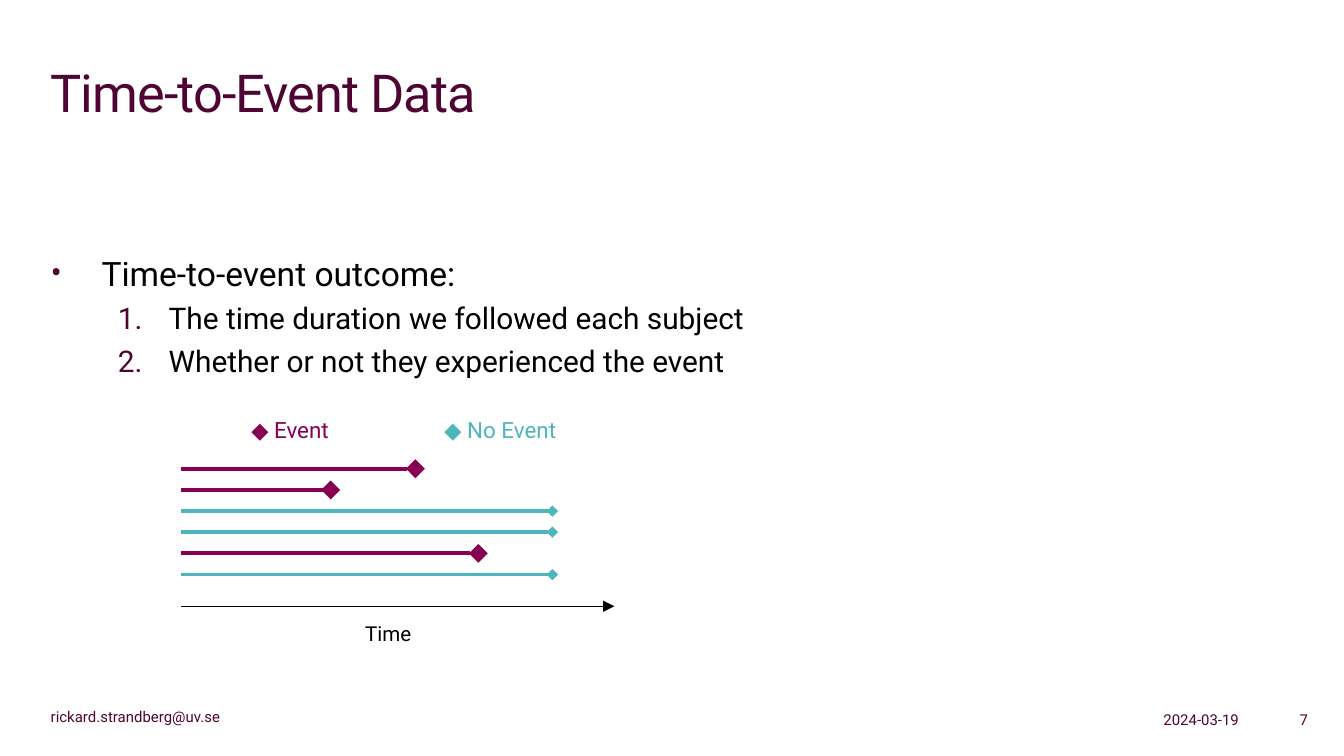
from lxml.etree import SubElement
from pptx import Presentation
from pptx.dml.color import RGBColor
from pptx.enum.shapes import MSO_CONNECTOR as CONN
from pptx.enum.text import MSO_ANCHOR as ANCHOR, MSO_AUTO_SIZE as AUTO, PP_ALIGN as ALIGN
from pptx.oxml.ns import qn
from pptx.util import Cm, Pt

FONT = "Roboto"
COLORS = {"plum": "4F0433", "event": "870052", "no_event": "4DB5BC", "black": "000000"}


def add_box(s, x, y, w, h, wrap=True):
    """Add an empty text box and return its text frame."""
    tf = s.shapes.add_textbox(Cm(x), Cm(y), Cm(w), Cm(h)).text_frame
    tf.word_wrap = wrap
    tf.auto_size = AUTO.NONE if wrap else AUTO.SHAPE_TO_FIT_TEXT
    return tf


def add_run(p, text, size, color):
    """Add a styled run to a paragraph."""
    r = p.add_run()
    r.text = text
    r.font.name = FONT
    r.font.size = Pt(size)
    r.font.color.rgb = RGBColor.from_string(COLORS[color])
    return r


def add_label(s, x, y, w, h, text, size, color):
    """Add a one-line label that does not wrap."""
    add_run(add_box(s, x, y, w, h, wrap=False).paragraphs[0], text, size, color)


def add_line(s, x, y, length, color, width, tip, tip_size):
    """Add a horizontal line with a tip at its right end."""
    line = s.shapes.add_connector(CONN.STRAIGHT, Cm(x), Cm(y), Cm(x + length), Cm(y))
    line.line.color.rgb = RGBColor.from_string(COLORS[color])
    line.line.width = Pt(width)
    SubElement(line.line._get_or_add_ln(), qn("a:tailEnd"), type=tip, w=tip_size, len=tip_size)
    SubElement(line._element.spPr, qn("a:effectLst"))


def set_bullet(p, indent, tag, **attrs):
    """Give a paragraph a hanging indent and a plum bullet or number."""
    pPr = p._p.get_or_add_pPr()
    pPr.set("marL", str(Cm(indent)))
    pPr.set("indent", str(-Cm(0.96)))
    SubElement(SubElement(pPr, qn("a:buClr")), qn("a:srgbClr"), val=COLORS["plum"])
    SubElement(pPr, qn("a:buFont"), typeface=FONT)
    SubElement(pPr, qn(tag), **attrs)


def add_title(s, x, y, w, h):
    """Place the slide title."""
    tf = add_box(s, x, y, w, h)
    tf.margin_top = Cm(0.2)
    r = add_run(tf.paragraphs[0], "Time-to-Event Data", 28, "plum")
    r.font._element.set("spc", "-50")


def add_body(s, x, y, w, h):
    """Place the bullet and its numbered points."""
    tf = add_box(s, x, y, w, h)
    tf.margin_top = Cm(0.9)
    p = tf.paragraphs[0]
    p.space_before = Pt(4)
    set_bullet(p, 0.96, "a:buChar", char="•")
    add_run(p, "Time-to-event outcome:", 18, "black")
    for text in ("The time duration we followed each subject",
                 "Whether or not they experienced the event"):
        p = tf.add_paragraph()
        p.level = 1
        p.space_before = Pt(3.4)
        set_bullet(p, 2.23, "a:buAutoNum", type="arabicPeriod")
        add_run(p, text, 16, "black")


def add_timeline(s, x, y):
    """Place the follow-up diagram with its legend and time axis."""
    add_label(s, x + 1.07, y, 2.11, 0.76, "◆ Event", 12, "event")
    add_label(s, x + 4.72, y, 2.77, 0.76, "◆ No Event", 12, "no_event")
    tip_sizes = {"event": "lg", "no_event": "med"}
    subjects = [("event", 4.42), ("event", 2.82), ("no_event", 7.01),
                ("no_event", 7.01), ("event", 5.61), ("no_event", 7.01)]
    for i, (kind, length) in enumerate(subjects):
        add_line(s, x, y + 1.11 + 0.4 * i, length, kind, 2, "diamond", tip_sizes[kind])
    add_line(s, x, y + 3.71, 8.18, "black", 0.75, "triangle", "med")
    add_label(s, x + 3.22, y + 3.86, 1.4, 0.74, "Time", 11, "black")


def add_footer(s, x, y, h):
    """Place the address, date and page number along the bottom."""
    items = [(0, 6.2, "rickard.strandberg@uv.se", ALIGN.LEFT, ANCHOR.MIDDLE),
             (17.68, 5.28, "2024-03-19", ALIGN.RIGHT, ANCHOR.TOP),
             (22.35, 1.91, "7", ALIGN.RIGHT, ANCHOR.TOP)]
    for dx, w, text, align, anchor in items:
        tf = add_box(s, x + dx, y, w, h)
        tf.vertical_anchor = anchor
        p = tf.paragraphs[0]
        p.alignment = align
        add_run(p, text, 8, "plum")


def main():
    """Build and save the slide."""
    prs = Presentation()
    prs.slide_width, prs.slide_height = Cm(25.4), Cm(14.29)
    s = prs.slides.add_slide(prs.slide_layouts[6])
    add_title(s, 0.71, 0.94, 23.98, 2.39)
    add_body(s, 0.71, 3.89, 23.98, 8.86)
    add_footer(s, 0.71, 13.31, 0.48)
    add_timeline(s, 3.43, 7.75)
    prs.save("out.pptx")


if __name__ == "__main__":
    main()
